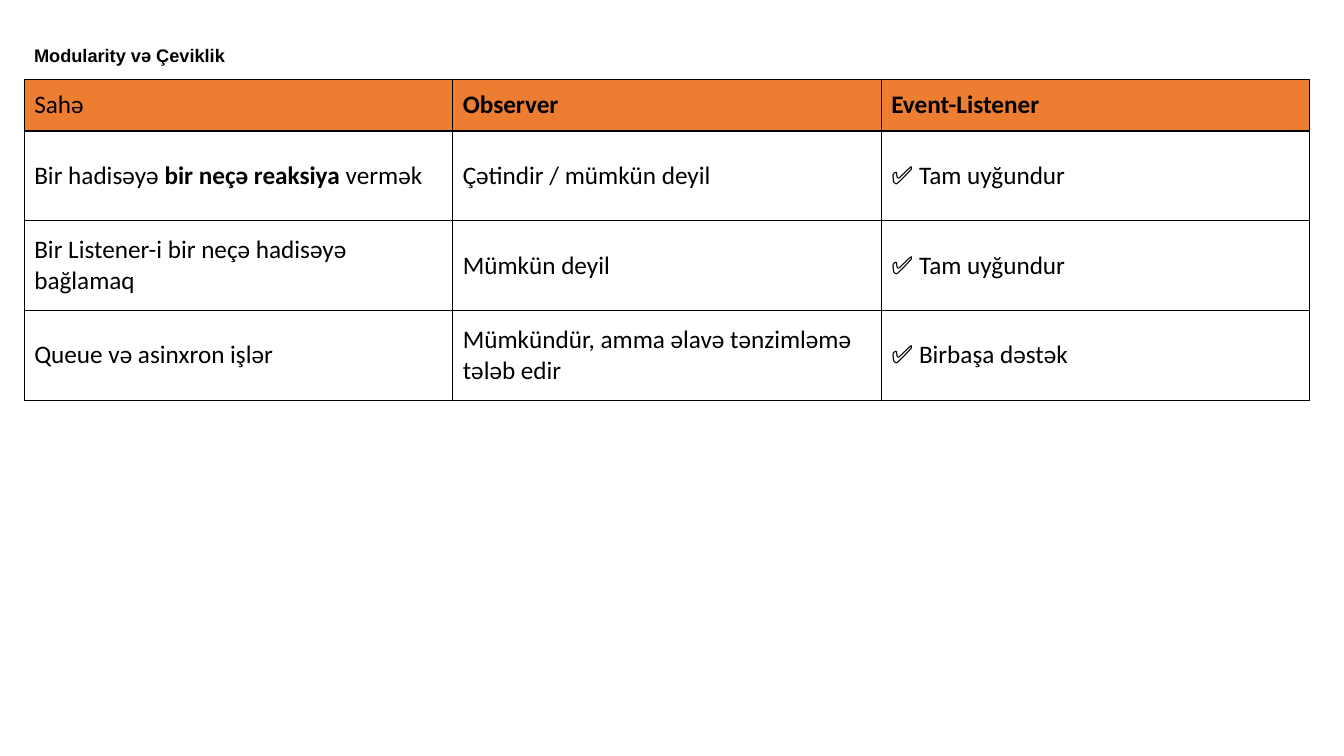
import pptx
import pptx.dml.color
import pptx.enum.text
import pptx.oxml
import pptx.oxml.ns
import pptx.util

EMU_PER_PX = 9144  # 100 px to the inch
BLACK = "000000"
ORANGE = "ED7D31"


def color(value):
    return pptx.dml.color.RGBColor.from_string(value)


class SlideBuilder:
    title_format = {"name": "Arial", "size": pptx.util.Pt(13), "bold": True}
    cell_format = {"name": "Calibri", "size": pptx.util.Pt(18), "bold": False}

    def __init__(self, slide):
        self.slide = slide

    def px(self, *lengths):
        return [pptx.util.Emu(length * EMU_PER_PX) for length in lengths]

    def add_run(self, paragraph, text, font_format):
        run = paragraph.add_run()
        run.text = text
        for name, value in font_format.items():
            setattr(run.font, name, value)
        run.font.color.rgb = color(BLACK)

    def add_title(self, text, left, top, width, height):
        shape = self.slide.shapes.add_textbox(*self.px(left, top, width, height))
        shape.text_frame.word_wrap = True
        paragraph = shape.text_frame.paragraphs[0]
        paragraph.line_spacing = 1.5
        self.add_run(paragraph, text, self.title_format)

    def add_borders(self, cell):
        properties = cell._tc.get_or_add_tcPr()
        for index, side in enumerate(("lnL", "lnR", "lnT", "lnB")):
            border = pptx.oxml.parse_xml(
                f'<a:{side} {pptx.oxml.ns.nsdecls("a")} w="12700"><a:solidFill>'
                f'<a:srgbClr val="{BLACK}"/></a:solidFill></a:{side}>')
            properties.insert(index, border)

    def fill_cell(self, cell, runs, fill):
        cell.vertical_anchor = pptx.enum.text.MSO_ANCHOR.MIDDLE
        if fill:
            cell.fill.solid()
            cell.fill.fore_color.rgb = color(fill)
        else:
            cell.fill.background()
        self.add_borders(cell)
        for text, bold in runs:
            self.add_run(cell.text_frame.paragraphs[0], text,
                         {**self.cell_format, "bold": bold})

    def add_table(self, rows, left, top, column_width, row_heights):
        columns = len(rows[0])
        shape = self.slide.shapes.add_table(
            len(rows), columns,
            *self.px(left, top, column_width * columns, sum(row_heights)))
        table = shape.table
        table.first_row = table.horz_banding = False
        for column in table.columns:
            column.width = self.px(column_width)[0]
        for row_index, (row, height) in enumerate(zip(rows, row_heights)):
            table.rows[row_index].height = self.px(height)[0]
            for column_index, content in enumerate(row):
                runs = [(content, False)] if isinstance(content, str) else content
                self.fill_cell(table.cell(row_index, column_index), runs,
                               ORANGE if row_index == 0 else None)


COMPARISON = [
    ["Sahə", [("Observer", True)], [("Event-Listener", True)]],
    [[("Bir hadisəyə ", False), ("bir neçə reaksiya", True), (" vermək", False)],
     "Çətindir / mümkün deyil", "✅ Tam uyğundur"],
    ["Bir Listener-i bir neçə hadisəyə bağlamaq", "Mümkün deyil", "✅ Tam uyğundur"],
    ["Queue və asinxron işlər", "Mümkündür, amma əlavə tənzimləmə tələb edir",
     "✅ Birbaşa dəstək"],
]


def main():
    presentation = pptx.Presentation()
    presentation.slide_width = pptx.util.Inches(13.33)
    presentation.slide_height = pptx.util.Inches(7.5)
    builder = SlideBuilder(presentation.slides.add_slide(presentation.slide_layouts[6]))

    # Heading
    builder.add_title("Modularity və Çeviklik", 24, 28, 1286, 203)

    # Comparison table
    builder.add_table(COMPARISON, 24, 79, 425, [51, 89, 89, 89])

    presentation.save("out.pptx")


if __name__ == "__main__":
    main()
